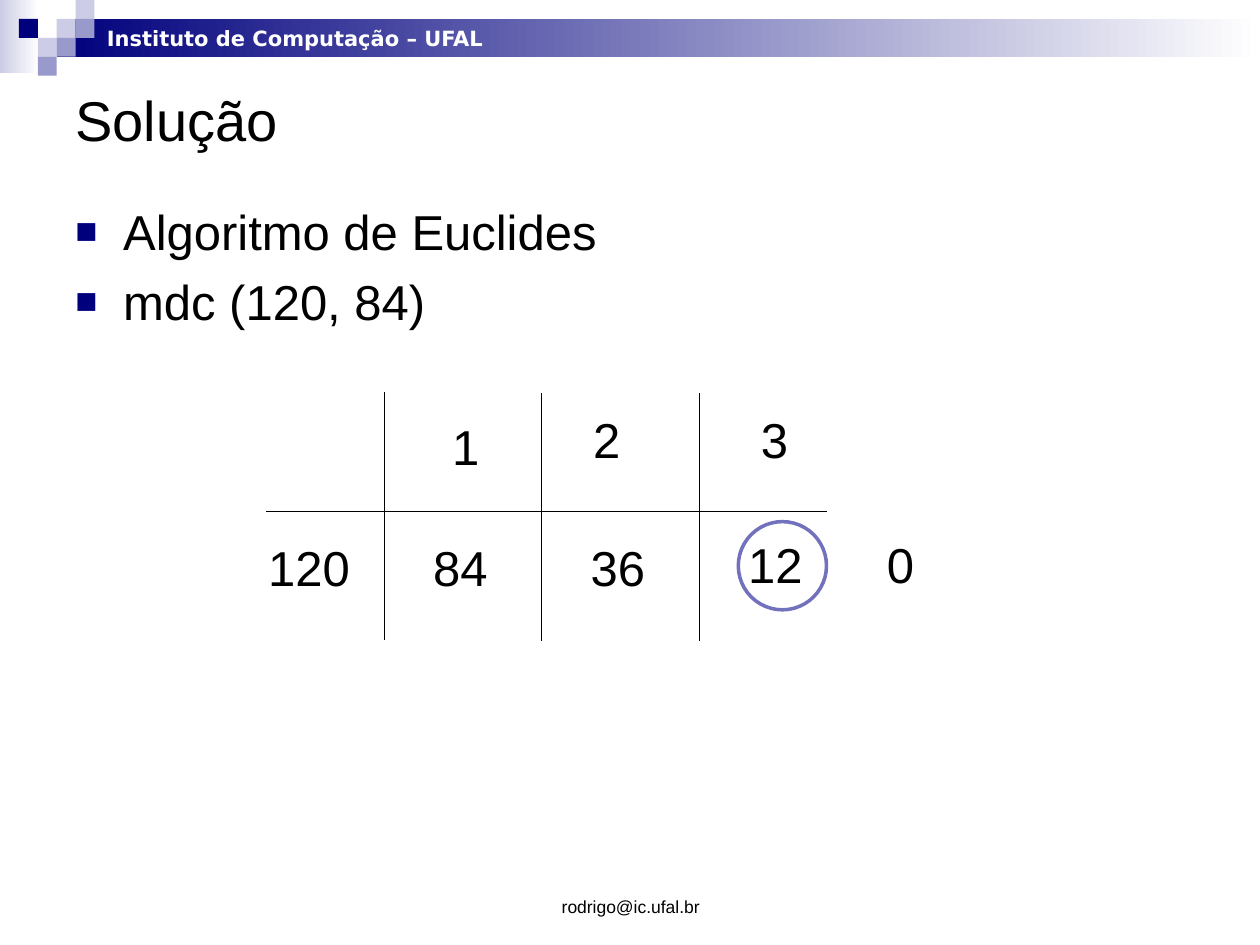
from dataclasses import dataclass

from lxml import etree
from pptx import Presentation
from pptx.dml.color import RGBColor
from pptx.enum.shapes import MSO_CONNECTOR, MSO_SHAPE
from pptx.enum.text import MSO_ANCHOR, MSO_AUTO_SIZE, PP_ALIGN
from pptx.oxml.ns import qn
from pptx.util import Inches, Pt

RECT, OVAL = MSO_SHAPE.RECTANGLE, MSO_SHAPE.OVAL
LINE = MSO_CONNECTOR.STRAIGHT
MIDDLE, BOTTOM = MSO_ANCHOR.MIDDLE, MSO_ANCHOR.BOTTOM
CENTER = PP_ALIGN.CENTER
GROW = MSO_AUTO_SIZE.SHAPE_TO_FIT_TEXT
COLS, ROWS = 100, 75


@dataclass
class Theme:
    navy: str = "00007D"
    mid: str = "9999CC"
    pale: str = "CCCCE6"
    ring: str = "7171BD"
    white: str = "FFFFFF"
    black: str = "000000"
    font: str = "Arial"
    head: str = "DejaVu Sans"
    title: int = 32
    body: int = 28
    brand: int = 12
    foot: int = 10


def assign(item, values):
    for name, value in values.items():
        setattr(item, name, value)


def color(code):
    return RGBColor.from_string(code)


class Page:
    def __init__(self, deck, theme):
        self.theme = theme
        self.slide = deck.slides.add_slide(deck.slide_layouts[6])
        self.col = deck.slide_width / COLS
        self.row = deck.slide_height / ROWS

    def place(self, x, y, w, h):
        return [round(n) for n in (x * self.col, y * self.row,
                                   w * self.col, h * self.row)]

    def shape(self, kind, box, fill=None, fade=False, line=None):
        item = self.slide.shapes.add_shape(kind, *self.place(*box))
        item.shadow.inherit = False
        if fade:
            item.fill.gradient()
            item.fill.gradient_angle = 0
            for stop, code in zip(item.fill.gradient_stops,
                                  (fill, self.theme.white)):
                stop.color.rgb = color(code)
            first, last = item.fill.gradient_stops
            first.position, last.position = 0, 1
        elif fill:
            item.fill.solid()
            item.fill.fore_color.rgb = color(fill)
        else:
            item.fill.background()
        if line:
            item.line.color.rgb = color(line)
            item.line.width = Pt(2)
        else:
            item.line.fill.background()

    def rule(self, x1, y1, x2, y2):
        item = self.slide.shapes.add_connector(LINE, *self.place(x1, y1, x2, y2))
        item.line.color.rgb = color(self.theme.black)
        item.line.width = Pt(0.75)
        etree.SubElement(item._element.spPr, qn("a:effectLst"))

    def text(self, box, lines, size, frame=None, para=None, font=None,
             ink=None, bullet=False):
        item = self.slide.shapes.add_textbox(*self.place(*box))
        area = item.text_frame
        assign(area, {"word_wrap": True, **(frame or {})})
        area.text = "\n".join(lines)
        for par in area.paragraphs:
            assign(par, para or {})
            assign(par.font, {"size": Pt(size), "name": self.theme.font,
                              **(font or {})})
            par.font.color.rgb = color(ink or self.theme.black)
            if bullet:
                self.bullet(par)

    def bullet(self, par):
        props = par._p.get_or_add_pPr()
        indent = Inches(0.38)
        props.set("marL", str(indent))
        props.set("indent", str(-indent))
        tint = etree.Element(qn("a:buClr"))
        etree.SubElement(tint, qn("a:srgbClr"), val=self.theme.navy)
        size = etree.Element(qn("a:buSzPct"), val="75000")
        face = etree.Element(qn("a:buFont"), typeface=self.theme.font)
        mark = etree.Element(qn("a:buChar"), char="■")
        # Bullet parts precede the default run format
        for part in (tint, size, face, mark):
            after = props.find(qn("a:defRPr"))
            if after is None:
                props.append(part)
            else:
                after.addprevious(part)


deck = Presentation()
deck.slide_width, deck.slide_height = Inches(10), Inches(7.5)
theme = Theme()
page = Page(deck, theme)

# Header bands and checker squares
page.shape(RECT, (0, 0, 3.1, 5.8), theme.pale, fade=True)
page.shape(RECT, (4.5, 1.5, 95.5, 3), theme.navy, fade=True)
tile = 1.5
for col, row, fill in [(3, 1, theme.pale), (4, 0, theme.pale),
                       (4, 1, theme.mid), (2, 2, theme.pale),
                       (1, 1, theme.navy), (3, 2, theme.mid),
                       (2, 3, theme.mid)]:
    page.shape(RECT, (col * tile, row * tile, tile, tile), fill)

# Heading, points and footer
fit = {"word_wrap": False, "auto_size": GROW}
page.text((7.5, 1.5, 32.4, 3), ["Instituto de Computação – UFAL"], theme.brand,
          fit, font={"name": theme.head, "bold": True}, ink=theme.white)
page.text((5, 5, 90, 8.9), ["Solução"], theme.title,
          {"vertical_anchor": MIDDLE})
page.text((5, 15.5, 90, 52), ["Algoritmo de Euclides", "mdc (120, 84)"],
          theme.body, para={"space_before": Pt(6.4)}, bullet=True)
page.text((34.2, 68.3, 31.7, 5), ["rodrigo@ic.ufal.br"], theme.foot,
          {"vertical_anchor": BOTTOM}, {"alignment": CENTER})

# Division grid
page.rule(21.1, 40.6, 65.6, 40.6)
for step, top in enumerate((31.1, 31.2, 31.2)):
    x = 30.5 + 12.5 * step
    page.rule(x, top, x, top + 19.7)

# Quotients above, remainders below
for word, x, y in [("120", 20.3, 42.2), ("84", 33.4, 42.2), ("1", 34.9, 32.6),
                   ("36", 45.9, 42.2), ("2", 46.1, 32), ("12", 58.4, 41.9),
                   ("3", 59.4, 32), ("0", 69.4, 41.9)]:
    page.text((x, y, 2 + 2.2 * len(word), 5.7), [word], theme.body, fit)

# Ring around the answer
page.shape(OVAL, (58.6, 41.4, 7, 7), line=theme.ring)

deck.save("out.pptx")
